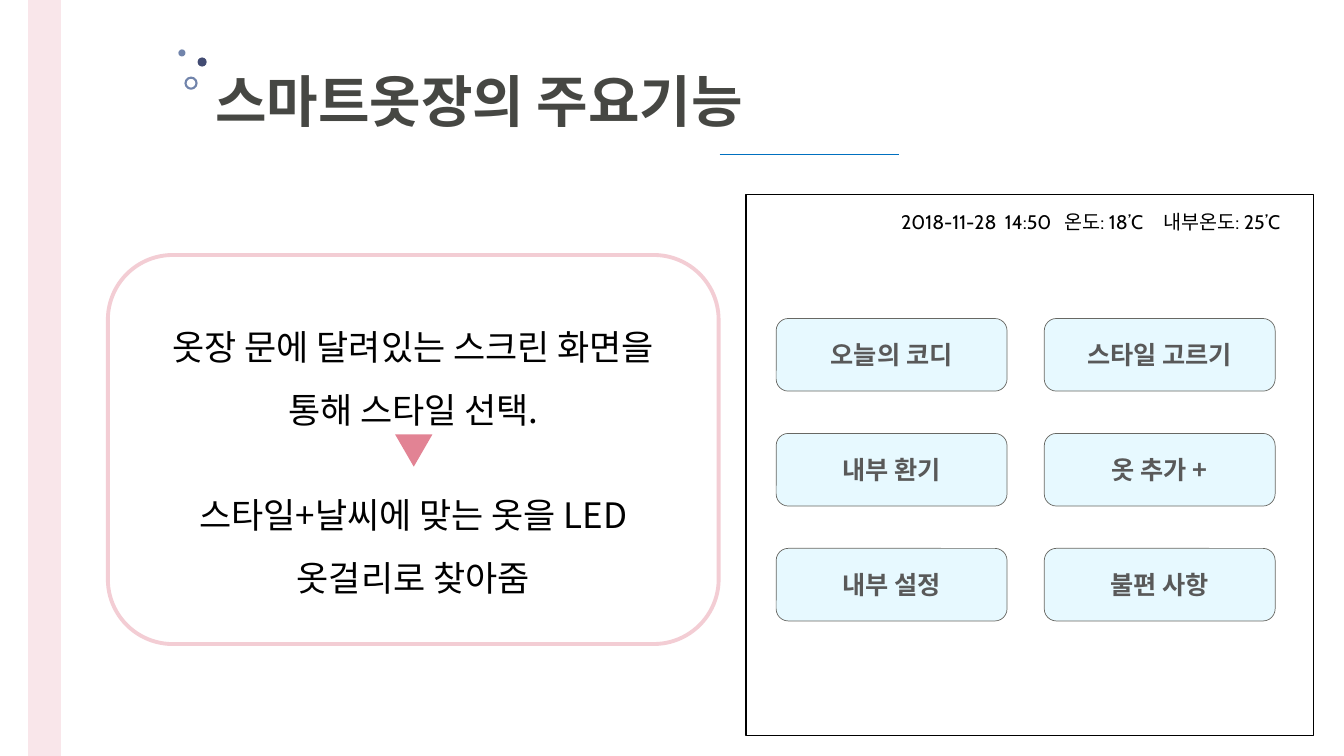
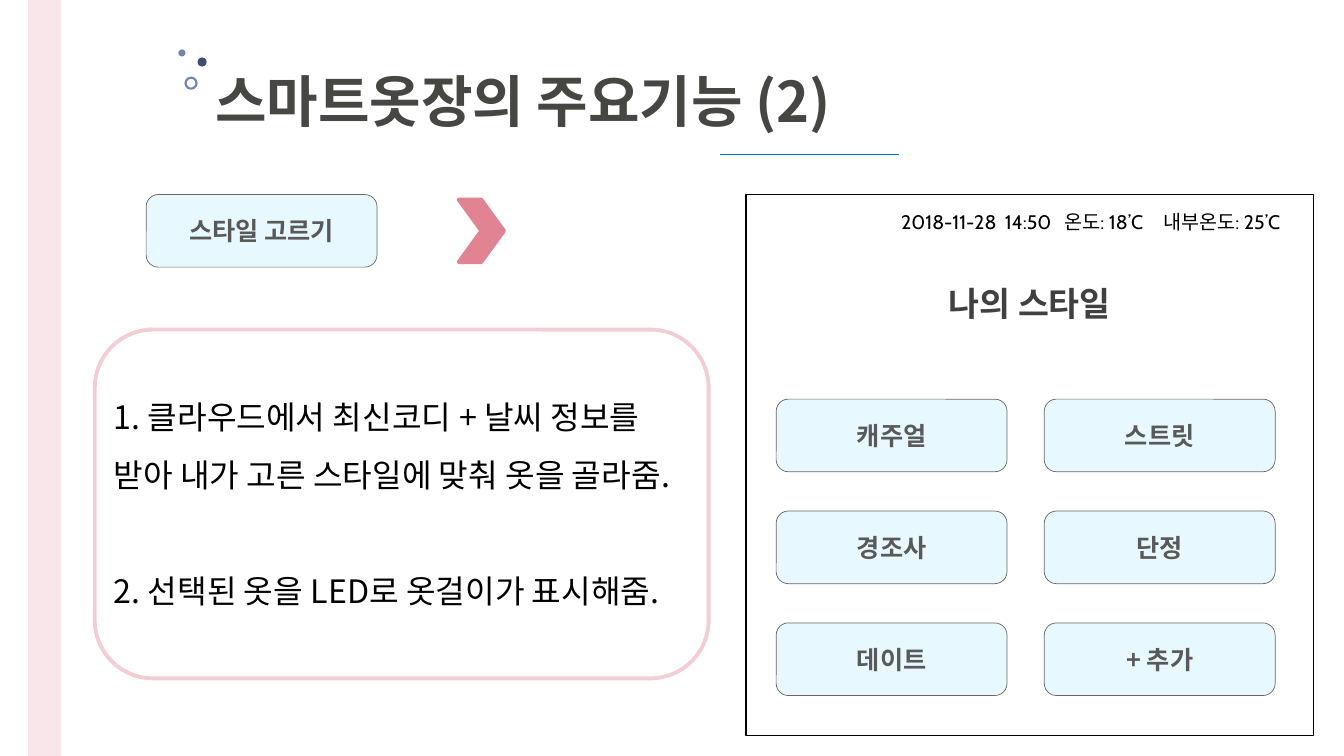
from dataclasses import dataclass

from lxml import etree
from pptx import Presentation
from pptx.dml.color import RGBColor
from pptx.enum.shapes import MSO_CONNECTOR, MSO_SHAPE
from pptx.enum.text import MSO_ANCHOR, PP_ALIGN
from pptx.oxml.ns import qn
from pptx.util import Inches, Pt

RECT = MSO_SHAPE.RECTANGLE
ROUNDED = MSO_SHAPE.ROUNDED_RECTANGLE
OVAL = MSO_SHAPE.OVAL
CHEVRON = MSO_SHAPE.CHEVRON
DOWN_TRIANGLE = MSO_SHAPE.FLOWCHART_MERGE
LEFT, CENTER = PP_ALIGN.LEFT, PP_ALIGN.CENTER
TOP, MIDDLE = MSO_ANCHOR.TOP, MSO_ANCHOR.MIDDLE


@dataclass(frozen=True)
class Theme:
    korean: str = "Noto Sans CJK KR"
    latin: str = "Cabin"
    title: str = "464743"
    black: str = "000000"
    white: str = "FFFFFF"
    heading: str = "404040"
    label: str = "595959"
    stripe: str = "F9E6EA"
    panel: str = "F3CDD4"
    accent: str = "E28394"
    button: str = "E7F9FF"
    button_edge: str = "686863"
    rule: str = "0070C0"
    dot: str = "7184AB"
    dark_dot: str = "424B72"
    title_size: float = 40
    heading_size: float = 24
    label_size: float = 18
    status_size: float = 14
    thick: float = 2.75
    thin: float = 0.5


THEME = Theme()


def grid(units):
    """Length of a number of grid units; a unit is a tenth of an inch."""
    return Inches(units / 10)


@dataclass(frozen=True)
class Box:
    x: float
    y: float
    w: float
    h: float

    def area(self, dx, dy, w, h):
        return Box(self.x + dx, self.y + dy, w, h)

    def inset(self, dx, dy):
        return self.area(dx, dy, self.w - 2 * dx, self.h - 2 * dy)

    def emu(self):
        return [grid(v) for v in (self.x, self.y, self.w, self.h)]


PAGE = Box(0, 0, 133.33, 75)
SCREEN = Box(74, 19.3, 56.3, 53.7)
BUTTON_W, BUTTON_H = 22.9, 7.2
BUTTON_COLUMNS = (3, 29.6)


# Building blocks
def add_shape(shapes, kind, box, fill=None, line=None, weight=1.0):
    shape = shapes.add_shape(kind, *box.emu())
    shape.shadow.inherit = False
    if fill:
        shape.fill.solid()
        shape.fill.fore_color.rgb = RGBColor.from_string(fill)
    else:
        shape.fill.background()
    if line:
        shape.line.color.rgb = RGBColor.from_string(line)
        shape.line.width = Pt(weight)
    else:
        shape.line.fill.background()
    return shape


def style(paragraph, size, color, bold=False, font=THEME.korean, align=LEFT):
    paragraph.alignment = align
    for run in paragraph.runs:
        run.font.size = Pt(size)
        run.font.bold = bold
        run.font.name = font
        run.font.color.rgb = RGBColor.from_string(color)
        east_asian = etree.SubElement(run.font._element, qn("a:ea"))
        east_asian.set("typeface", THEME.korean)


def add_text(slide, box, text, anchor=MIDDLE):
    frame = slide.shapes.add_textbox(*box.emu()).text_frame
    frame.word_wrap = True
    frame.vertical_anchor = anchor
    frame.text = text
    return frame.paragraphs


def set_tabs(paragraph, stops):
    tabs = etree.SubElement(paragraph._p.get_or_add_pPr(), qn("a:tabLst"))
    for stop in stops:
        etree.SubElement(tabs, qn("a:tab"), pos=str(grid(stop)), algn="l")


# Shared look: stripe, dots, title and rule
def add_dots(slide, box):
    dots = slide.shapes.add_group_shape().shapes
    add_shape(dots, OVAL, box.area(0, 0, 0.7, 0.7), fill=THEME.dot)
    add_shape(dots, OVAL, box.area(0.7, 2.8, 1.1, 1.1), line=THEME.dot, weight=1.5)
    add_shape(dots, OVAL, box.area(1.9, 0.8, 0.9, 0.9), fill=THEME.dark_dot)


def new_slide(prs, title):
    slide = prs.slides.add_slide(prs.slide_layouts[6])
    add_shape(slide.shapes, RECT, PAGE.area(3, 0, 2.9, PAGE.h),
              THEME.stripe, THEME.stripe, THEME.thick)
    add_dots(slide, PAGE.area(17.7, 4.9, 2.8, 3.9))
    heading = add_text(slide, PAGE.area(20.4, 6.1, 71.1, 7.7), title)
    style(heading[0], THEME.title_size, THEME.title, bold=True)
    rule = slide.shapes.add_connector(
        MSO_CONNECTOR.STRAIGHT, grid(71.4), grid(15.3), grid(89.2), grid(15.3))
    rule.line.color.rgb = RGBColor.from_string(THEME.rule)
    rule.line.width = Pt(THEME.thin)
    etree.SubElement(rule._element.spPr, qn("a:effectLst"))
    return slide


# Wardrobe screen
def add_button(slide, box, label):
    button = add_shape(slide.shapes, ROUNDED, box, THEME.button,
                       THEME.button_edge, THEME.thin)
    button.text_frame.text = label
    button.text_frame.vertical_anchor = MIDDLE
    style(button.text_frame.paragraphs[0], THEME.label_size, THEME.label,
          bold=True, align=CENTER)


def add_screen(slide, box, labels, first_row, pitch, heading=None):
    add_shape(slide.shapes, RECT, box, THEME.white, THEME.black)
    status = add_text(slide, box.area(14.4, 1, 41.8, 3.4),
                      "2018-11-28\t14:50\t온도: 18’C\t내부온도: 25’C")[0]
    set_tabs(status, (10.3, 16.2, 26))
    style(status, THEME.status_size, THEME.black, font=THEME.latin)
    if heading:
        name = add_text(slide, box.area(0, 8.3, box.w, 5), heading)[0]
        style(name, THEME.heading_size, THEME.heading, bold=True,
              font=THEME.latin, align=CENTER)
    for i, label in enumerate(labels):
        row, column = divmod(i, len(BUTTON_COLUMNS))
        add_button(slide, box.area(BUTTON_COLUMNS[column], first_row + row * pitch,
                                   BUTTON_W, BUTTON_H), label)


# Outlined panel with the explanation
def add_panel(slide, box, steps, size, gap, inset, align=LEFT):
    add_shape(slide.shapes, ROUNDED, box, line=THEME.panel, weight=THEME.thick)
    paragraphs = add_text(slide, box.inset(*inset), "\n".join(steps), TOP)
    for i, step in enumerate(paragraphs):
        step.line_spacing = Pt(size * 1.8)
        if i:
            step.space_before = Pt(gap)
        style(step, size, THEME.black, align=align)


def build_functions(prs):
    slide = new_slide(prs, "스마트옷장의 주요기능")
    panel = PAGE.area(10.7, 25.3, 60.6, 38.6)
    add_panel(slide, panel,
              ["옷장 문에 달려있는 스크린 화면을 통해 스타일 선택.",
               "스타일+날씨에 맞는 옷을 LED 옷걸리로 찾아줌"],
              size=25, gap=30, inset=(2.5, 4.4), align=CENTER)
    add_shape(slide.shapes, DOWN_TRIANGLE, panel.area(28.5, 17.8, 3.7, 3.2),
              fill=THEME.accent)
    add_screen(slide, SCREEN,
               ["오늘의 코디", "스타일 고르기", "내부 환기",
                "옷 추가 +", "내부 설정", "불편 사항"],
               first_row=12.3, pitch=11.4)


def build_style_choice(prs):
    slide = new_slide(prs, "스마트옷장의 주요기능 (2)")
    add_button(slide, PAGE.area(14.5, 19.3, BUTTON_W, BUTTON_H), "스타일 고르기")
    add_shape(slide.shapes, CHEVRON, PAGE.area(45.5, 19.8, 4.5, 6.2),
              THEME.accent, THEME.accent, THEME.thick)
    add_panel(slide, PAGE.area(9.4, 32.7, 60.9, 34.6),
              ["1. 클라우드에서 최신코디 + 날씨 정보를 받아 내가 고른 스타일에 맞춰 옷을 골라줌.",
               "2. 선택된 옷을 LED로 옷걸이가 표시해줌."],
              size=23, gap=41.4, inset=(0.9, 4.3))
    add_screen(slide, SCREEN,
               ["캐주얼", "스트릿", "경조사", "단정", "데이트", "+ 추가"],
               first_row=20.3, pitch=11.1, heading="나의 스타일")


def main():
    prs = Presentation()
    prs.slide_width, prs.slide_height = grid(PAGE.w), grid(PAGE.h)
    build_functions(prs)
    build_style_choice(prs)
    prs.save("out.pptx")


if __name__ == "__main__":
    main()
